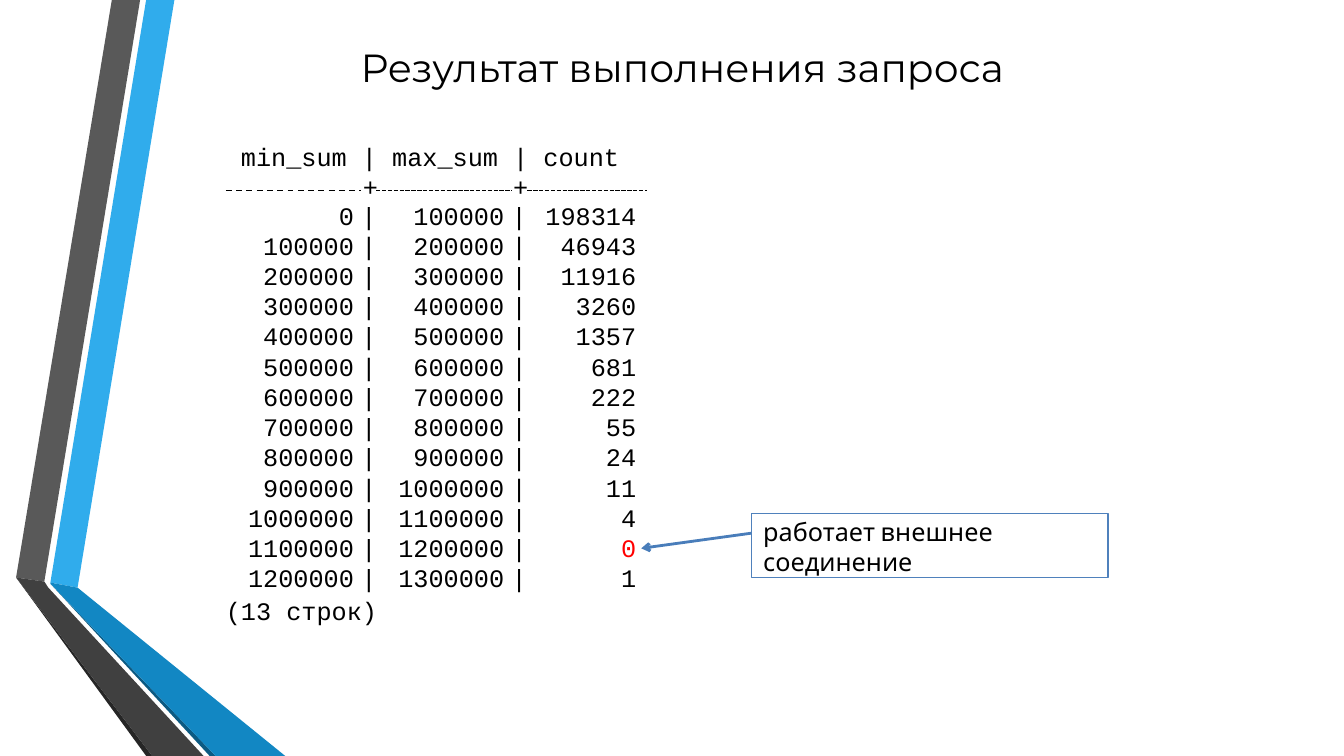
from pptx import Presentation, util as u
from pptx.dml.color import RGBColor
from pptx.enum import dml, shapes, text
from pptx.oxml import parse_xml
from pptx.oxml.ns import nsdecls

TITLE = ["Результат ", "выполнения запроса"]
HEADER = ["min_sum ", "| ", "max_sum ", "| ", "count"]
COUNTS = [198314, 46943, 11916, 3260, 1357, 681, 222, 55, 24, 11, 4, 0, 1]
STEP = 100000
FOOTER = ["(13 строк)"]
NOTE = ["работает ", "внешнее ", "соединение"]
RIBBONS = [
    ("30ACEC", [(0.5, 5.78), (0.77, 5.83), (1.73, 0), (1.45, 0)]),
    ("595959", [(1.39, 0), (1.11, 0), (0.16, 5.73), (0.44, 5.77)]),
    ("262626", [(0.16, 5.73), (1.45, 7.5), (1.51, 7.5)]),
    ("0C5A82", [(0.5, 5.79), (2.08, 7.5), (2.14, 7.5)]),
    ("1287C3", [(0.5, 5.79), (2.14, 7.5), (2.83, 7.5), (0.77, 5.83), (0.5, 5.78)]),
    ("404040", [(2.02, 7.5), (0.48, 5.83), (0.44, 5.77), (0.16, 5.73), (1.51, 7.5)]),
]
RULES = [(2.24, 3.58, "DASH"), (3.73, 5.08, "SQUARE_DOT"), (5.23, 6.42, "SQUARE_DOT")]
RULE_Y = 1.89
TABS = [1.36, 2.85]
COLUMNS = [1.16, 0.3, 1.19, 0.3, 1.01]
ROW_H = 0.3
MONO = "Courier New"


def color(value):
    return RGBColor.from_string(value)


def add_runs(p, parts, font=MONO, size=18, ink="000000"):
    for part in parts:
        r = p.add_run()
        r.text = part
        r.font.name, r.font.size = font, u.Pt(size)
        r.font.bold = False
        r.font.color.rgb = color(ink)


def set_frame(tf, top=0.01, anchor=text.MSO_ANCHOR.TOP):
    tf.word_wrap = True
    tf.auto_size = text.MSO_AUTO_SIZE.NONE
    tf.margin_left = tf.margin_right = tf.margin_bottom = 0
    tf.margin_top = u.Inches(top)
    tf.vertical_anchor = anchor
    return tf


def indent(p, left, before=0):
    p._p.get_or_add_pPr().set("marL", str(u.Inches(left)))
    p.space_before = u.Pt(before)


def add_box(s, x, y, w, h):
    return set_frame(s.shapes.add_textbox(*map(u.Inches, (x, y, w, h))).text_frame)


def add_line(s, x1, y1, x2, y2, ink, width):
    line = s.shapes.add_connector(shapes.MSO_CONNECTOR.STRAIGHT, *map(u.Inches, (x1, y1, x2, y2)))
    line.line.color.rgb = color(ink)
    line.line.width = u.Pt(width)
    line._element.spPr.append(parse_xml(f"<a:effectLst {nsdecls('a')}/>"))
    return line


def add_ribbons(s):
    for fill, points in RIBBONS:
        (x, y), *rest = [(u.Inches(a), u.Inches(b)) for a, b in points]
        builder = s.shapes.build_freeform(x, y)
        builder.add_line_segments(rest, close=True)
        sp = builder.convert_to_shape()
        sp.shadow.inherit = False
        sp.fill.solid()
        sp.fill.fore_color.rgb = color(fill)
        sp.line.fill.background()


def add_title(s):
    sp = s.shapes.title
    sp.left, sp.top, sp.width, sp.height = map(u.Inches, (2.53, 0.42, 8.46, 0.48))
    p = set_frame(sp.text_frame, anchor=text.MSO_ANCHOR.MIDDLE).paragraphs[0]
    p.alignment = text.PP_ALIGN.CENTER
    indent(p, 0.01, 0.9)
    add_runs(p, TITLE, "Montserrat", 28)


def add_header(s):
    for x1, x2, dash in RULES:
        rule = add_line(s, x1, RULE_Y, x2, RULE_Y, "000000", 1.06)
        rule.line.dash_style = getattr(dml.MSO_LINE, dash)
    tf = add_box(s, 2.23, 1.39, 4.35, 0.63)
    p = tf.paragraphs[0]
    indent(p, 0.16, 1)
    add_runs(p, HEADER)
    p = tf.add_paragraph()
    indent(p, 0.01)
    stops = "".join(f'<a:tab pos="{u.Inches(t)}" algn="l"/>' for t in TABS)
    p._p.get_or_add_pPr().append(parse_xml(f"<a:tabLst {nsdecls('a')}>{stops}</a:tabLst>"))
    add_runs(p, ["\t+", "\t+"])


def add_result(s):
    n = len(COUNTS)
    frame = s.shapes.add_table(n, len(COLUMNS), *map(u.Inches, (2.35, 2.05, sum(COLUMNS), ROW_H * n)))
    table = frame.table
    table.first_row = table.horz_banding = False
    for column, width in zip(table.columns, COLUMNS):
        column.width = u.Inches(width)
    for i, count in enumerate(COUNTS):
        table.rows[i].height = u.Inches(ROW_H if 0 < i < n - 1 else 0.29)
        for j, value in enumerate((i * STEP, "|", (i + 1) * STEP, "|", count)):
            cell = table.cell(i, j)
            cell.fill.background()
            cell.margin_left = cell.margin_right = cell.margin_top = cell.margin_bottom = 0
            p = cell.text_frame.paragraphs[0]
            p.alignment = text.PP_ALIGN.CENTER if value == "|" else text.PP_ALIGN.RIGHT
            p.line_spacing = u.Pt(19.2 if i else 18.6)
            add_runs(p, [str(value)], ink="FF0000" if j == 4 and count == 0 else "000000")


def add_footer(s):
    p = add_box(s, 2.23, 5.9, 1.52, 0.33).paragraphs[0]
    indent(p, 0.01, 1)
    add_runs(p, FOOTER)


def add_note(s):
    sp = s.shapes.add_shape(shapes.MSO_SHAPE.RECTANGLE, *map(u.Inches, (7.45, 5.09, 3.54, 0.64)))
    sp.shadow.inherit = False
    sp.fill.background()
    sp.line.color.rgb = color("4F81BC")
    sp.line.width = u.Pt(0.75)
    p = set_frame(sp.text_frame, 0.03).paragraphs[0]
    p.alignment = text.PP_ALIGN.LEFT
    indent(p, 0.12, 2.5)
    add_runs(p, NOTE, "Cabin")
    arrow = add_line(s, 7.45, 5.29, 6.36, 5.44, "497DBA", 2)
    arrow.line._get_or_add_ln().append(parse_xml(f'<a:tailEnd {nsdecls("a")} type="arrow"/>'))


def main():
    prs = Presentation()
    prs.slide_width, prs.slide_height = u.Inches(13.33), u.Inches(7.5)
    s = prs.slides.add_slide(prs.slide_layouts[5])
    for add_part in (add_ribbons, add_title, add_header, add_result, add_footer, add_note):
        add_part(s)
    prs.save("out.pptx")


if __name__ == "__main__":
    main()
